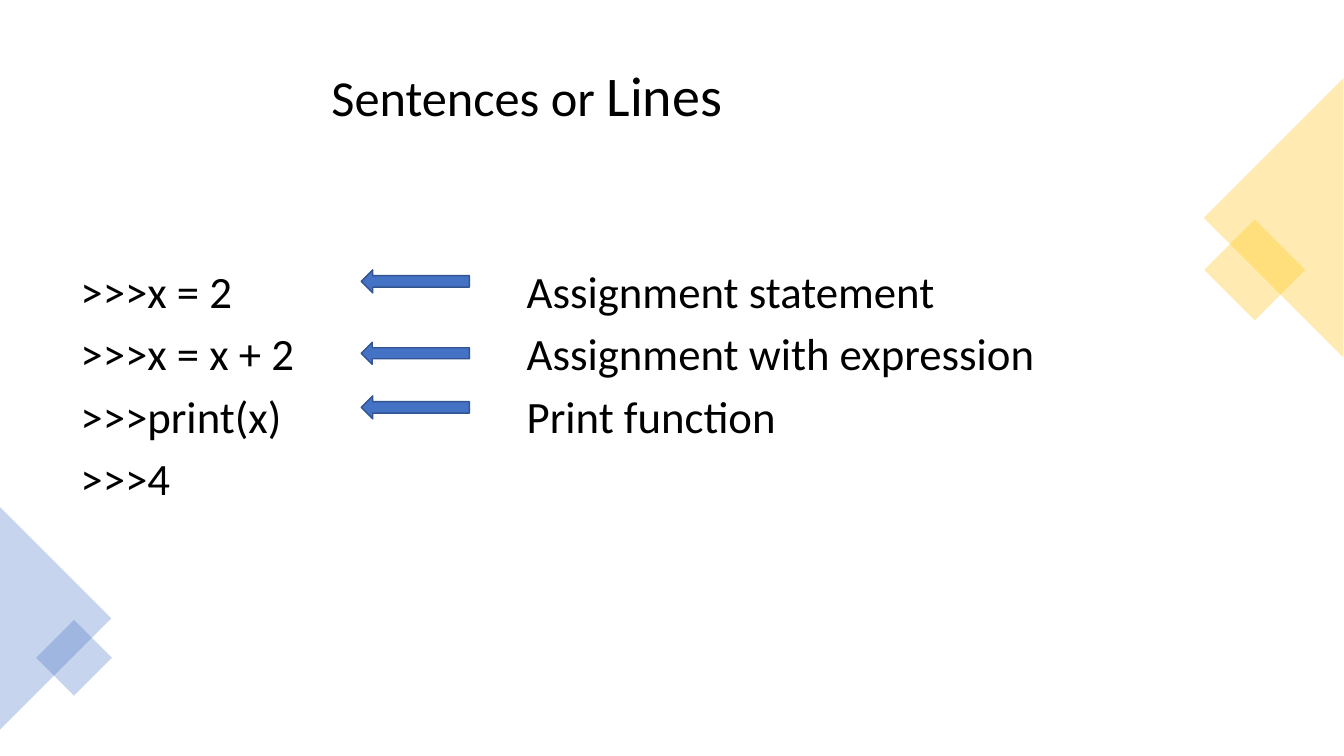
from lxml import etree
from pptx import Presentation
from pptx.dml.color import RGBColor
from pptx.enum.shapes import MSO_SHAPE
from pptx.enum.text import MSO_ANCHOR, MSO_AUTO_SIZE, PP_ALIGN
from pptx.oxml.ns import qn
from pptx.util import Emu, Pt

PX = 9525
RECT = MSO_SHAPE.RECTANGLE
WEDGE = MSO_SHAPE.ISOSCELES_TRIANGLE
ARROW = MSO_SHAPE.LEFT_ARROW
LEFT = PP_ALIGN.LEFT
TOP, MIDDLE = MSO_ANCHOR.TOP, MSO_ANCHOR.MIDDLE
NO_FIT = MSO_AUTO_SIZE.NONE
FONT = "Calibri"
HUES = {"text": "000000", "gold": "FFC000", "blue": "4472C4", "edge": "325491"}

CODE = [">>>x = 2", ">>>x = x + 2", ">>>print(x)", ">>>4"]
LABELS = ["Assignment statement", "Assignment with expression", "Print function"]


def hue(name):
    return RGBColor.from_string(HUES[name])


def place(item, box):
    item.left, item.top, item.width, item.height = (Emu(n * PX) for n in box)


def set_frame(holder, box, anchor):
    place(holder, box)
    frame = holder.text_frame
    frame.word_wrap = True
    frame.auto_size = NO_FIT
    frame.vertical_anchor = anchor
    return frame


def set_para(para):
    para.alignment = LEFT
    para.line_spacing = 0.9


def add_run(para, text, size):
    run = para.add_run()
    run.text = text
    run.font.name = FONT
    run.font.size = Pt(size)
    run.font.color.rgb = hue("text")


def add_title(slide):
    frame = set_frame(slide.shapes.title, (306, 34, 906, 119), MIDDLE)
    para = frame.paragraphs[0]
    set_para(para)
    add_run(para, "Sentences or ", 36)
    add_run(para, "Lines", 40)


def add_list(holder, box, lines):
    frame = set_frame(holder, box, TOP)
    for i, line in enumerate(lines):
        para = frame.add_paragraph() if i else frame.paragraphs[0]
        set_para(para)
        para.space_before = Pt(10)
        # No bullet, no indent
        props = para._p.get_or_add_pPr()
        props.set("marL", "0")
        props.set("indent", "0")
        etree.SubElement(props, qn("a:buNone"))
        add_run(para, line, 32)


def add_form(slide, kind, box, fill):
    form = slide.shapes.add_shape(kind, 0, 0, 0, 0)
    place(form, box)
    form.shadow.inherit = False
    form.fill.solid()
    form.fill.fore_color.rgb = hue(fill)
    return form


def add_decor(slide, kind, box, fill, turn):
    form = add_form(slide, kind, box, fill)
    form.rotation = turn
    form.line.fill.background()
    color = form.fill._xPr.find(qn("a:solidFill"))[0]
    etree.SubElement(color, qn("a:alpha"), val="30000")


def add_arrow(slide, box):
    form = add_form(slide, ARROW, box, "blue")
    form.line.color.rgb = hue("edge")
    form.line.width = Pt(1)


def main():
    deck = Presentation()
    deck.slide_width, deck.slide_height = Emu(1280 * PX), Emu(720 * PX)
    slide = deck.slides.add_slide(deck.slide_layouts[3])

    # Title, code and labels
    add_title(slide)
    add_list(slide.placeholders[1], (67, 252, 270, 397), CODE)
    add_list(slide.placeholders[2], (492, 252, 720, 397), LABELS)

    # Corner decor
    add_decor(slide, RECT, (1161, 223, 68, 68), "gold", 45)
    add_decor(slide, WEDGE, (1080, 141, 266, 133), "gold", 270)
    add_decor(slide, WEDGE, (-53, 536, 212, 106), "blue", 90)
    add_decor(slide, RECT, (45, 601, 51, 51), "blue", 45)

    # Arrows from labels to code
    for left, top, high in [(344, 257, 22), (344, 326, 21), (344, 377, 22)]:
        add_arrow(slide, (left, top, 103, high))

    deck.save("out.pptx")


if __name__ == "__main__":
    main()
